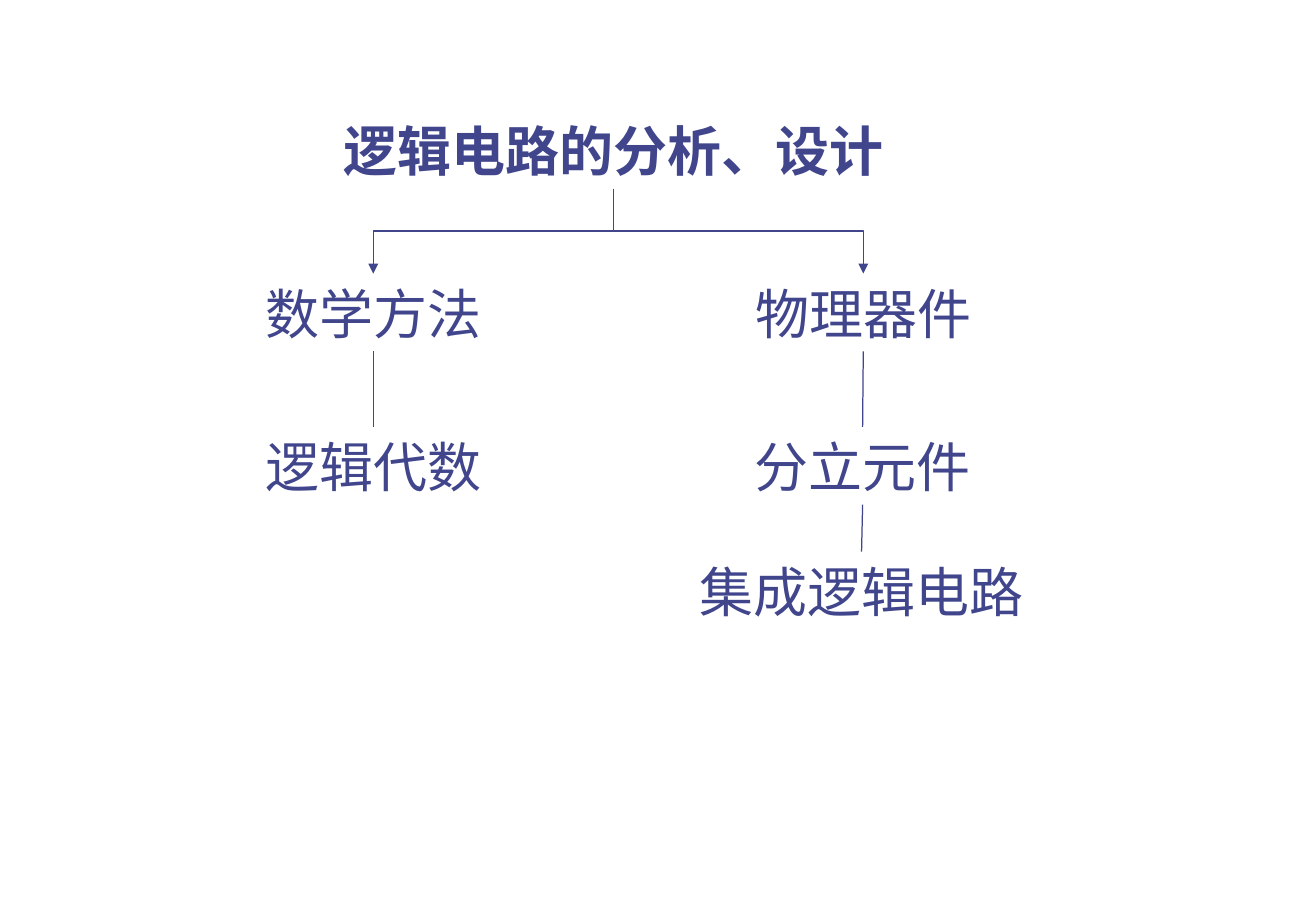
from dataclasses import dataclass

from lxml import etree
from pptx import Presentation
from pptx import util as u
from pptx.dml.color import RGBColor
from pptx.enum import shapes, text
from pptx.oxml.ns import qn

INK = "40458C"
BOX_H = 46.1
BOTTOM, TOP = 2, 0


@dataclass
class Topic:
    label: str
    center: float
    top: float
    width: float
    bold: bool = False


@dataclass
class Link:
    parent: str
    child: str
    elbow: bool = False


TITLE = Topic("逻辑电路的分析、设计", 364, 65.7, 348, True)
TOPICS = [
    Topic("数学方法", 221.4, 162.2, 176),
    Topic("物理器件", 512, 162.2, 176),
    Topic("逻辑代数", 221.4, 253, 176),
    Topic("分立元件", 511.6, 253, 215),
    Topic("集成逻辑电路", 511, 327, 210),
]
LINKS = [
    Link(TITLE.label, "数学方法", True),
    Link(TITLE.label, "物理器件", True),
    Link("数学方法", "逻辑代数"),
    Link("物理器件", "分立元件"),
    Link("分立元件", "集成逻辑电路"),
]


def rgb(value: str) -> RGBColor:
    return RGBColor.from_string(value)


def apply(target, values: dict) -> None:
    for name, value in values.items():
        setattr(target, name, value)


def write_topic(sp, topic: Topic) -> None:
    apply(sp, {
        "left": u.Pt(topic.center - topic.width / 2), "top": u.Pt(topic.top),
        "width": u.Pt(topic.width), "height": u.Pt(BOX_H),
    })
    tf = sp.text_frame
    apply(tf, {
        "word_wrap": True, "auto_size": text.MSO_AUTO_SIZE.NONE,
        "vertical_anchor": text.MSO_ANCHOR.MIDDLE,
        "margin_left": u.Pt(7.2), "margin_right": u.Pt(7.2),
        "margin_top": u.Pt(3.6), "margin_bottom": u.Pt(3.6),
    })
    p = tf.paragraphs[0]
    p.alignment = text.PP_ALIGN.CENTER
    r = p.add_run()
    r.text = topic.label
    apply(r.font, {"name": "Arial", "size": u.Pt(32), "bold": topic.bold})
    r.font.color.rgb = rgb(INK)


def turn_downward(cxn) -> None:
    x1, y1, x2, y2 = cxn.begin_x, cxn.begin_y, cxn.end_x, cxn.end_y
    across, down = abs(x2 - x1), y2 - y1
    apply(cxn, {
        "left": (x1 + x2 - down) // 2, "top": (y1 + y2 - across) // 2,
        "width": down, "height": across,
    })
    xfrm = cxn._element.spPr.find(qn("a:xfrm"))
    goes_right = x2 > x1
    xfrm.set("rot", str((270 if goes_right else 90) * 60000))
    xfrm.set("flipH", "1" if goes_right else "0")
    xfrm.set("flipV", "0")


def draw_link(slide, link: Link, boxes: dict) -> None:
    kind = shapes.MSO_CONNECTOR.ELBOW if link.elbow else shapes.MSO_CONNECTOR.STRAIGHT
    cxn = slide.shapes.add_connector(kind, 0, 0, 0, 0)
    cxn.begin_connect(boxes[link.parent], BOTTOM)
    cxn.end_connect(boxes[link.child], TOP)
    cxn.line.color.rgb = rgb(INK)
    cxn.line.width = u.Pt(0.75)
    if link.elbow:
        turn_downward(cxn)
        etree.SubElement(cxn.line._get_or_add_ln(), qn("a:tailEnd"), type="triangle")
    etree.SubElement(cxn._element.spPr, qn("a:effectLst"))


def main() -> None:
    prs = Presentation()
    apply(prs, {"slide_width": u.Pt(780.48), "slide_height": u.Pt(540)})
    s = prs.slides.add_slide(prs.slide_layouts[5])
    boxes = {TITLE.label: s.shapes.title}
    write_topic(s.shapes.title, TITLE)
    for topic in TOPICS:
        sp = s.shapes.add_textbox(0, 0, 0, 0)
        write_topic(sp, topic)
        boxes[topic.label] = sp
    for link in LINKS:
        draw_link(s, link, boxes)
    prs.save("out.pptx")


if __name__ == "__main__":
    main()
